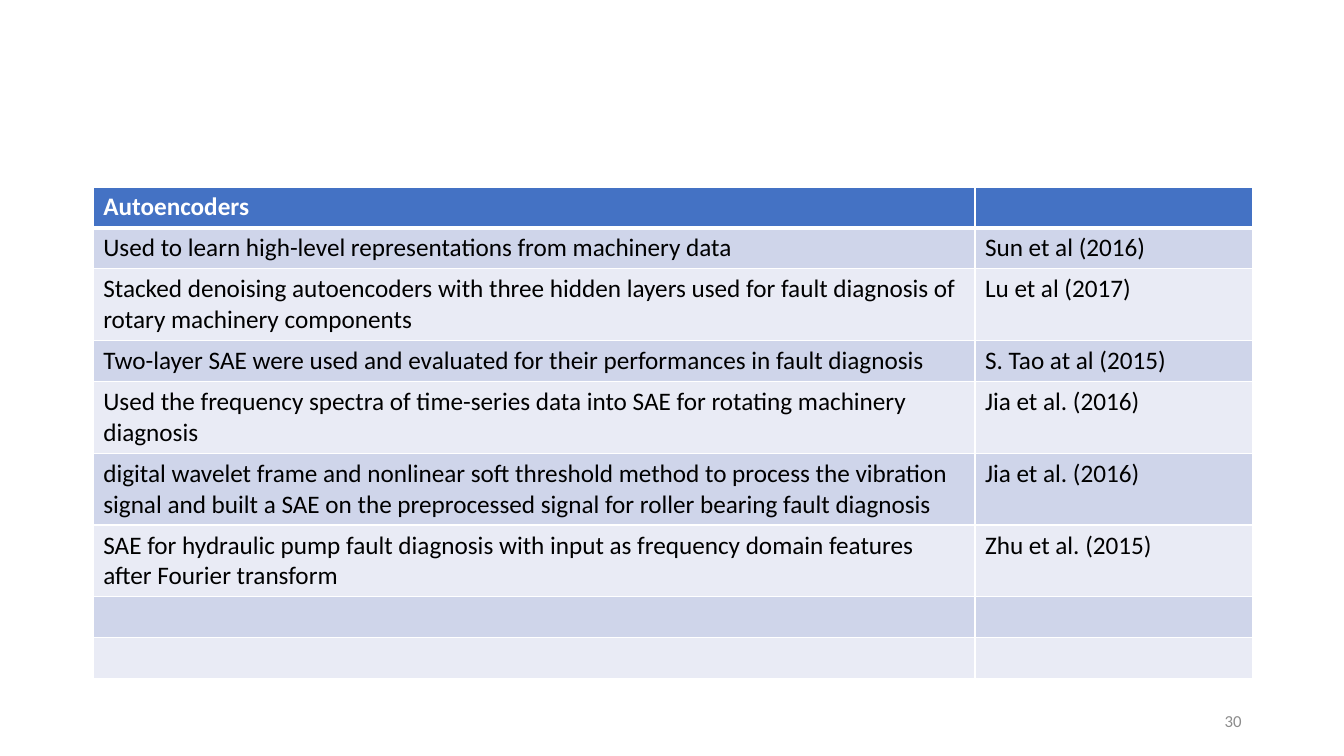
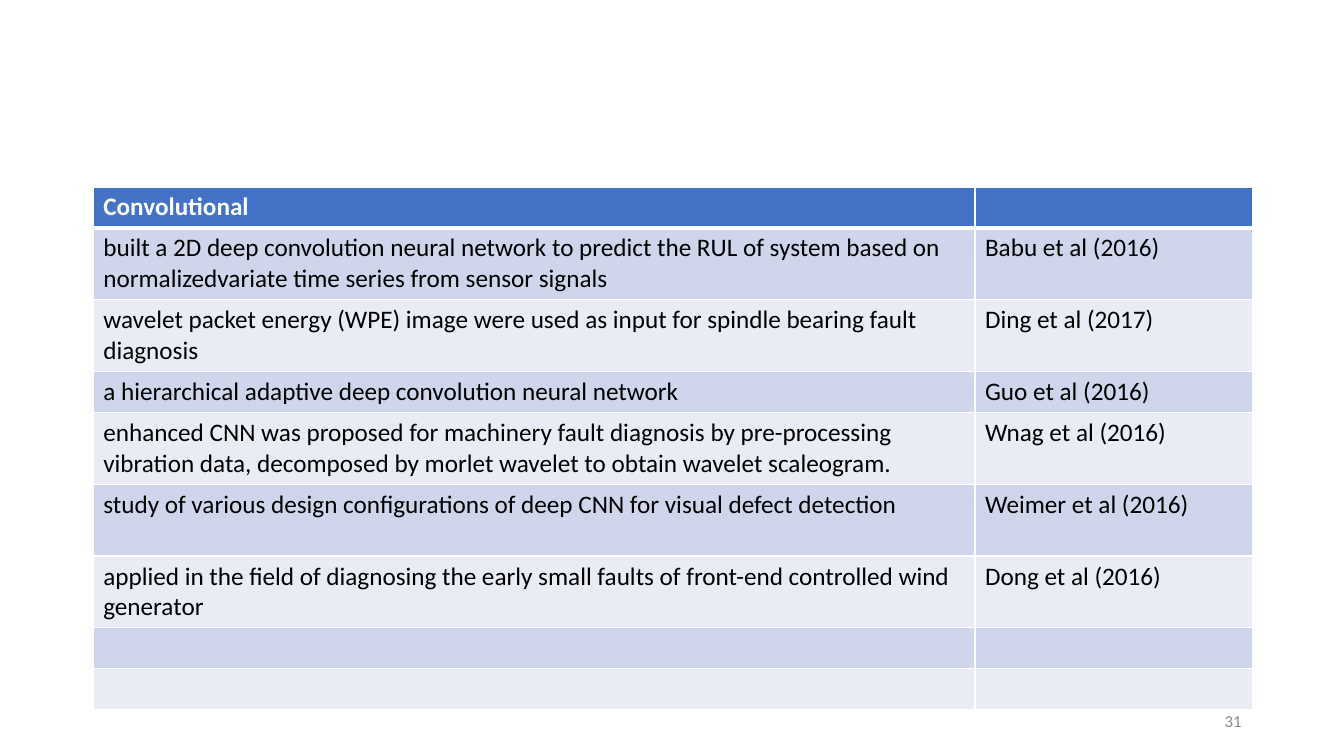
import lxml.etree
import pptx
import pptx.dml.color
import pptx.enum.text
import pptx.oxml.ns
import pptx.util

Cm = pptx.util.Cm
Pt = pptx.util.Pt
RGBColor = pptx.dml.color.RGBColor

BLUE = RGBColor(0x44, 0x72, 0xC4)
DARK_BAND = RGBColor(0xCF, 0xD5, 0xEA)
LIGHT_BAND = RGBColor(0xE9, 0xEB, 0xF5)
WHITE = RGBColor(0xFF, 0xFF, 0xFF)
BLACK = RGBColor(0x00, 0x00, 0x00)
GREY = RGBColor(0x8C, 0x8C, 0x8C)

COLUMN_WIDTHS = (22.22, 6.99)
LINE_HEIGHTS = {1: 1.03, 2: 1.81}
BLANK_ROWS = [("", "", 1)] * 2
FIRST_PAGE = 30

TABLES = [
    [
        ("Autoencoders", "", 1),
        ("Used to learn high-level representations from machinery data", "Sun et al (2016)", 1),
        ("Stacked denoising autoencoders with three hidden layers used for fault diagnosis of "
         "rotary machinery components", "Lu et al (2017)", 2),
        ("Two-layer SAE were used and evaluated for their performances in fault diagnosis",
         "S. Tao at al (2015)", 1),
        ("Used the frequency spectra of time-series data into SAE for rotating machinery "
         "diagnosis", "Jia et al. (2016)", 2),
        ("digital wavelet frame and nonlinear soft threshold method to process the vibration "
         "signal and built a SAE on the preprocessed signal for roller bearing fault diagnosis",
         "Jia et al. (2016)", 2),
        ("SAE for hydraulic pump fault diagnosis with input as frequency domain features "
         "after Fourier transform", "Zhu et al. (2015)", 2),
    ],
    [
        ("Convolutional", "", 1),
        ("built a 2D deep convolution neural network to predict the RUL of system based on "
         "normalizedvariate time series from sensor signals", "Babu et al (2016)", 2),
        ("wavelet packet energy (WPE) image were used as input for spindle bearing fault "
         "diagnosis", "Ding et al (2017)", 2),
        ("a hierarchical adaptive deep convolution neural network", "Guo et al (2016)", 1),
        ("enhanced CNN was proposed for machinery fault diagnosis by pre-processing "
         "vibration data, decomposed by morlet wavelet to obtain wavelet scaleogram.",
         "Wnag et al (2016)", 2),
        ("study of various design configurations of deep CNN for visual defect detection",
         "Weimer et al (2016)", 2),
        ("applied in the field of diagnosing the early small faults of front-end controlled wind "
         "generator", "Dong et al (2016)", 2),
    ],
]


class Deck:
    """Holds the shared style and the current slide."""

    header_format = {"name": "Calibri", "size": Pt(18), "bold": True, "color": WHITE}
    body_format = {"name": "Calibri", "size": Pt(18), "bold": False, "color": BLACK}
    page_format = {"name": "Calibri", "size": Pt(12), "color": GREY}

    def __init__(self):
        self.presentation = pptx.Presentation()
        self.presentation.slide_width = Cm(33.87)
        self.presentation.slide_height = Cm(19.05)
        self.slide = None

    def add_slide(self):
        self.slide = self.presentation.slides.add_slide(self.presentation.slide_layouts[6])

    def add_text(self, paragraph, text, text_format):
        run = paragraph.add_run()
        run.text = text
        for name, value in text_format.items():
            if name == "color":
                run.font.color.rgb = value
            else:
                setattr(run.font, name, value)

    def add_borders(self, cell, top, bottom):
        properties = cell._tc.get_or_add_tcPr()
        qualify = pptx.oxml.ns.qn
        for side, width in {"L": 1, "R": 1, "T": top, "B": bottom}.items():
            line = lxml.etree.SubElement(properties, qualify(f"a:ln{side}"), w=str(Pt(width)))
            fill = lxml.etree.SubElement(line, qualify("a:solidFill"))
            lxml.etree.SubElement(fill, qualify("a:srgbClr"), val=str(WHITE))

    def add_table(self, rows):
        heights = [LINE_HEIGHTS[lines] for *_, lines in rows]
        table = self.slide.shapes.add_table(
            len(rows), len(COLUMN_WIDTHS), Cm(2.35), Cm(4.71),
            Cm(sum(COLUMN_WIDTHS)), Cm(sum(heights))).table
        for column, width in zip(table.columns, COLUMN_WIDTHS):
            column.width = Cm(width)
        for index, (*texts, _) in enumerate(rows):
            table.rows[index].height = Cm(heights[index])
            band = BLUE if index == 0 else (LIGHT_BAND, DARK_BAND)[index % 2]
            text_format = self.body_format if index else self.header_format
            for cell, text in zip(table.rows[index].cells, texts):
                self.add_borders(cell, top=3 if index == 1 else 1, bottom=1 if index else 3)
                cell.fill.solid()
                cell.fill.fore_color.rgb = band
                if text:
                    self.add_text(cell.text_frame.paragraphs[0], text, text_format)

    def add_page_number(self, number):
        box = self.slide.shapes.add_textbox(Cm(23.92), Cm(17.65), Cm(7.62), Cm(1.01))
        frame = box.text_frame
        frame.word_wrap = True
        frame.vertical_anchor = pptx.enum.text.MSO_ANCHOR.MIDDLE
        paragraph = frame.paragraphs[0]
        paragraph.alignment = pptx.enum.text.PP_ALIGN.RIGHT
        self.add_text(paragraph, str(number), self.page_format)


def main():
    deck = Deck()
    for number, rows in enumerate(TABLES, FIRST_PAGE):
        deck.add_slide()
        deck.add_table(rows + BLANK_ROWS)
        deck.add_page_number(number)
    deck.presentation.save("out.pptx")


if __name__ == "__main__":
    main()
